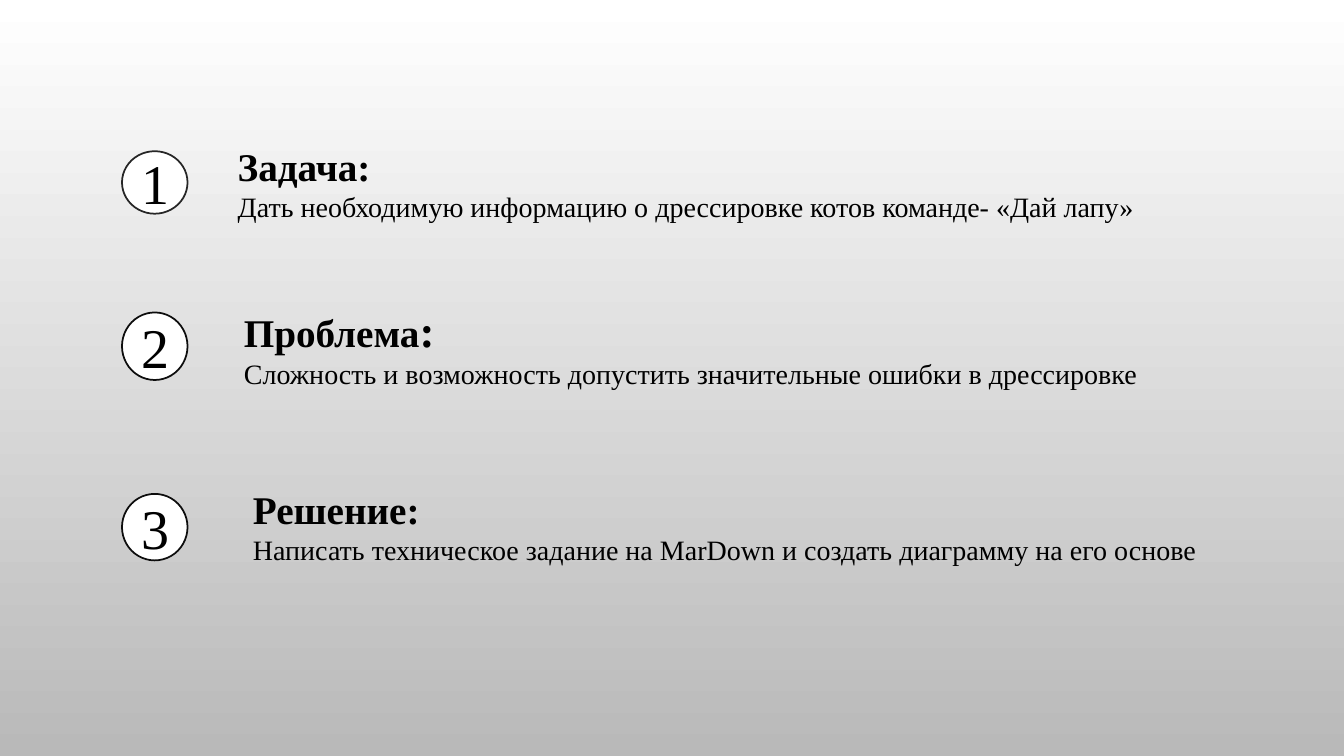
from dataclasses import dataclass

from pptx import Presentation
from pptx import util as u
from pptx.dml.color import RGBColor
from pptx.enum import shapes, text
from pptx.slide import Slide

FONT = "Times New Roman"
BLACK = "000000"
WHITE = "FFFFFF"
BADGE_LEFT = 1.21
BADGE_WIDTH = 0.65


@dataclass
class Badge:
    number: int
    top: float
    height: float
    outline: str


@dataclass
class Point:
    badge: Badge
    left: float
    top: float
    width: float
    height: float
    heading: str
    detail: str
    colon_size: int = 28


POINTS = [
    Point(Badge(1, 1.5, 0.62, "262626"), 2.26, 1.36, 9.17, 0.91, "Задача",
          "Дать необходимую информацию о дрессировке котов команде- «Дай лапу»"),
    Point(Badge(2, 3.1, 0.67, "0D0D0D"), 2.32, 2.95, 9.22, 0.98, "Проблема",
          "Сложность и возможность допустить значительные ошибки в дрессировке", 32),
    Point(Badge(3, 4.9, 0.66, "0D0D0D"), 2.41, 4.77, 9.71, 0.91, "Решение",
          "Написать техническое задание на MarDown и создать диаграмму на его основе"),
]


def color(value: str) -> RGBColor:
    return RGBColor.from_string(value)


def set_font(para, size: int, bold: bool = False) -> None:
    para.font.name = FONT
    para.font.size = u.Pt(size)
    para.font.bold = bold
    para.font.color.rgb = color(BLACK)


def paint_background(page: Slide) -> None:
    fill = page.background.fill
    fill.gradient()
    fill.gradient_angle = 270
    for stop, position, value in zip(fill.gradient_stops, (0, 1), (WHITE, "B9B9B9")):
        stop.position = position
        stop.color.rgb = color(value)


def add_badge(page: Slide, badge: Badge) -> None:
    circle = page.shapes.add_shape(
        shapes.MSO_SHAPE.OVAL, u.Inches(BADGE_LEFT), u.Inches(badge.top),
        u.Inches(BADGE_WIDTH), u.Inches(badge.height))
    circle.shadow.inherit = False
    circle.fill.solid()
    circle.fill.fore_color.rgb = color(WHITE)
    circle.line.color.rgb = color(badge.outline)
    circle.line.width = u.Pt(1.25)
    circle.text_frame.vertical_anchor = text.MSO_ANCHOR.MIDDLE
    para = circle.text_frame.paragraphs[0]
    para.text = str(badge.number)
    para.alignment = text.PP_ALIGN.CENTER
    set_font(para, 40)


def add_point_text(page: Slide, point: Point) -> None:
    box = page.shapes.add_textbox(
        u.Inches(point.left), u.Inches(point.top),
        u.Inches(point.width), u.Inches(point.height))
    frame = box.text_frame
    frame.word_wrap = False
    frame.auto_size = text.MSO_AUTO_SIZE.SHAPE_TO_FIT_TEXT
    heading = frame.paragraphs[0]
    set_font(heading, 28, bold=True)
    heading.add_run().text = point.heading
    colon = heading.add_run()
    colon.text = ":"
    colon.font.size = u.Pt(point.colon_size)
    detail = frame.add_paragraph()
    detail.text = point.detail
    set_font(detail, 20)


def main() -> None:
    deck = Presentation()
    deck.slide_width = u.Inches(13.33)
    deck.slide_height = u.Inches(7.5)
    page = deck.slides.add_slide(deck.slide_layouts.get_by_name("Blank"))
    paint_background(page)
    for point in POINTS:
        add_badge(page, point.badge)
        add_point_text(page, point)
    deck.save("out.pptx")


if __name__ == "__main__":
    main()
